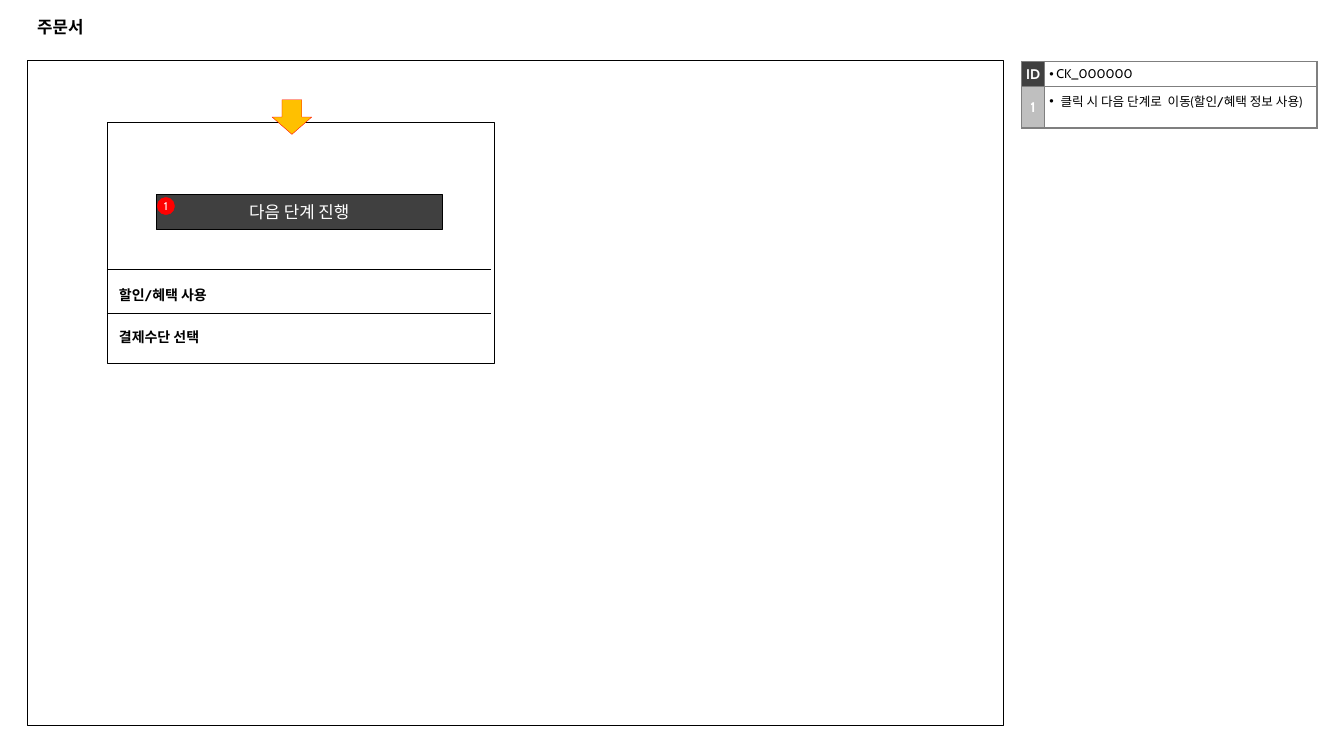
"""Build the order-form wireframe slide with its description table."""
from dataclasses import dataclass

import lxml.etree
import pptx
import pptx.dml.color
import pptx.enum.shapes
import pptx.enum.text
import pptx.oxml.ns
import pptx.presentation
import pptx.shapes.autoshape
import pptx.slide
import pptx.table
import pptx.text.text
import pptx.util

Pt = pptx.util.Pt
Shape = pptx.enum.shapes.MSO_SHAPE
Align = pptx.enum.text.PP_ALIGN
Anchor = pptx.enum.text.MSO_ANCHOR
qn = pptx.oxml.ns.qn

BLACK, WHITE, DARK, GRAY = "000000", "FFFFFF", "404040", "BFBFBF"
RED, AMBER, BORDER = "FF0000", "FFC000", "7F7F7F"


@dataclass(frozen=True)
class Style:
    size: float
    color: str = BLACK
    bold: bool = False
    font: str = "Cabin"
    align: Align = Align.LEFT


@dataclass(frozen=True)
class Label:
    text: str
    left: float
    top: float
    width: float
    height: float
    style: Style
    inset: tuple[float, float] = (2.88, 2.88)
    anchor: Anchor = Anchor.TOP


@dataclass(frozen=True)
class Block:
    kind: Shape
    left: float
    top: float
    width: float
    height: float
    line: str = BLACK
    weight: float = 0.25
    fill: str | None = None
    text: str = ""
    style: Style = Style(12, WHITE, align=Align.CENTER)


@dataclass(frozen=True)
class Entry:
    key: str
    key_fill: str
    note: str
    indent: float
    height: float


BLOCKS = [
    Block(Shape.RECTANGLE, 19.5, 43.2, 697.5, 475.2, weight=0.75),
    Block(Shape.RECTANGLE, 76.3, 87.2, 276.5, 172.1),
    Block(Shape.DOWN_ARROW, 194.4, 71.3, 28.3, 24.7, RED, fill=AMBER),
    Block(Shape.RECTANGLE, 111.6, 138.8, 204.5, 25, fill=DARK, text="다음 단계 진행"),
    Block(Shape.OVAL, 112.3, 141, 12.4, 12.4, RED, fill=RED, text="1",
          style=Style(8, WHITE, align=Align.CENTER)),
]
SECTION = Style(10, bold=True)
LABELS = [
    Label("주문서", 19.5, 5, 921, 28, Style(12, bold=True, font="Arial"),
          (7.2, 3.6), Anchor.MIDDLE),
    Label("할인/혜택 사용", 82.1, 201.6, 242.6, 18, SECTION),
    Label("결제수단 선택", 82.1, 232, 242.6, 18, SECTION),
]
DIVIDERS = [192.3, 224]
ENTRIES = [
    Entry("ID", DARK, "CK_000000", 5, 18),
    Entry("1", GRAY, "클릭 시 다음 단계로  이동(할인/혜택 정보 사용)", 8, 29.5),
]


def rgb(color: str) -> pptx.dml.color.RGBColor:
    return pptx.dml.color.RGBColor.from_string(color)


def write(para: pptx.text.text._Paragraph, text: str, style: Style) -> None:
    para.text = text
    para.alignment = style.align
    para.font.name = style.font
    para.font.size = Pt(style.size)
    para.font.bold = style.bold
    para.font.color.rgb = rgb(style.color)


def set_frame(frame: pptx.text.text.TextFrame, inset: tuple[float, float],
              anchor: Anchor) -> None:
    frame.word_wrap = True
    frame.vertical_anchor = anchor
    frame.margin_left = frame.margin_right = Pt(inset[0])
    frame.margin_top = frame.margin_bottom = Pt(inset[1])


def draw_block(page: pptx.slide.Slide, block: Block) -> None:
    shape = page.shapes.add_shape(block.kind, Pt(block.left), Pt(block.top),
                                  Pt(block.width), Pt(block.height))
    shape.shadow.inherit = False
    shape.line.color.rgb = rgb(block.line)
    shape.line.width = Pt(block.weight)
    if block.fill:
        shape.fill.solid()
        shape.fill.fore_color.rgb = rgb(block.fill)
    else:
        shape.fill.background()
    if block.text:
        set_frame(shape.text_frame, (0, 0), Anchor.MIDDLE)
        write(shape.text_frame.paragraphs[0], block.text, block.style)


def draw_label(page: pptx.slide.Slide, label: Label) -> None:
    box = page.shapes.add_textbox(Pt(label.left), Pt(label.top),
                                  Pt(label.width), Pt(label.height))
    set_frame(box.text_frame, label.inset, label.anchor)
    write(box.text_frame.paragraphs[0], label.text, label.style)


def draw_divider(page: pptx.slide.Slide, top: float) -> None:
    line = page.shapes.add_connector(pptx.enum.shapes.MSO_CONNECTOR.STRAIGHT,
                                     Pt(76.3), Pt(top), Pt(350.6), Pt(top))
    line.line.color.rgb = rgb(BLACK)
    line.line.width = Pt(0.75)
    lxml.etree.SubElement(line._element.spPr, qn("a:effectLst"))


def style_cell(cell: pptx.table._Cell, fill: str | None) -> None:
    properties = cell._tc.get_or_add_tcPr()
    for side in ("a:lnL", "a:lnR", "a:lnT", "a:lnB"):
        edge = lxml.etree.SubElement(properties, qn(side), w=str(int(Pt(1))))
        solid = lxml.etree.SubElement(edge, qn("a:solidFill"))
        lxml.etree.SubElement(solid, qn("a:srgbClr"), val=BORDER)
    if fill:
        cell.fill.solid()
        cell.fill.fore_color.rgb = rgb(fill)
    else:
        cell.fill.background()


def add_bullet(para: pptx.text.text._Paragraph, indent: float) -> None:
    properties = para._p.get_or_add_pPr()
    properties.set("marL", str(int(Pt(indent))))
    properties.set("indent", str(-int(Pt(indent))))
    lxml.etree.SubElement(properties, qn("a:buFont"), typeface="Arial")
    lxml.etree.SubElement(properties, qn("a:buChar"), char="•")


def draw_entries(page: pptx.slide.Slide, entries: list[Entry]) -> None:
    height = sum(entry.height for entry in entries)
    table = page.shapes.add_table(len(entries), 2, Pt(729.8), Pt(43.9),
                                  Pt(210.9), Pt(height)).table
    table.first_row = table.horz_banding = False
    table.columns[0].width, table.columns[1].width = Pt(16.2), Pt(194.7)
    for index, entry in enumerate(entries):
        table.rows[index].height = Pt(entry.height)
        key, note = table.cell(index, 0), table.cell(index, 1)
        style_cell(key, entry.key_fill)
        style_cell(note, None)
        key.margin_left = key.margin_right = key.margin_top = key.margin_bottom = 0
        key.vertical_anchor = Anchor.MIDDLE
        note.margin_left = note.margin_right = note.margin_top = Pt(3.6)
        note.margin_bottom = 0
        write(key.text_frame.paragraphs[0], entry.key,
              Style(10, WHITE, True, align=Align.CENTER))
        para = note.text_frame.paragraphs[0]
        add_bullet(para, entry.indent)
        write(para, entry.note, Style(9))


def main() -> None:
    deck = pptx.Presentation()
    deck.slide_width, deck.slide_height = Pt(960), Pt(540)
    page = deck.slides.add_slide(deck.slide_layouts[6])
    for block in BLOCKS:
        draw_block(page, block)
    for label in LABELS:
        draw_label(page, label)
    for top in DIVIDERS:
        draw_divider(page, top)
    draw_entries(page, ENTRIES)
    deck.save("out.pptx")


if __name__ == "__main__":
    main()
